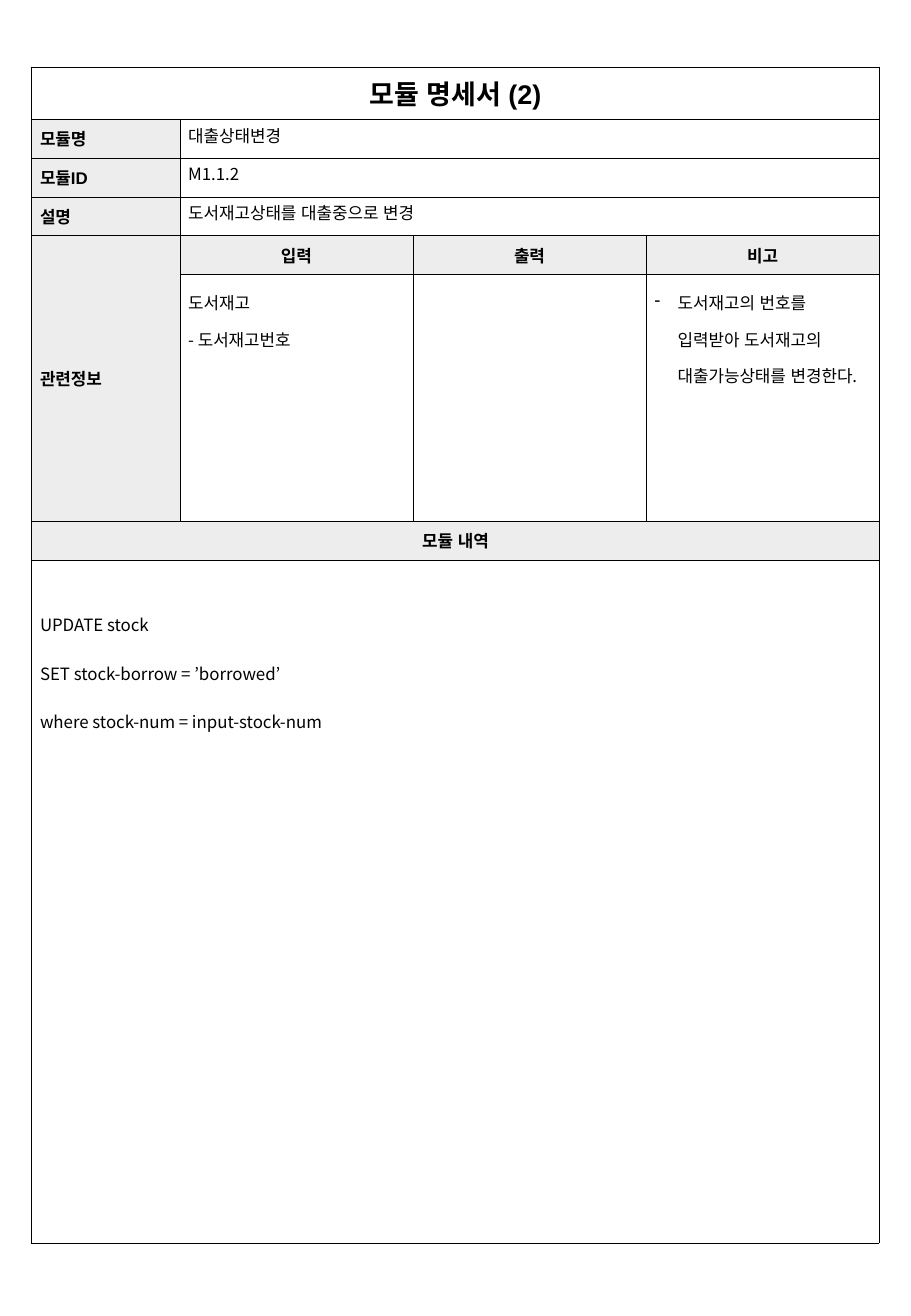
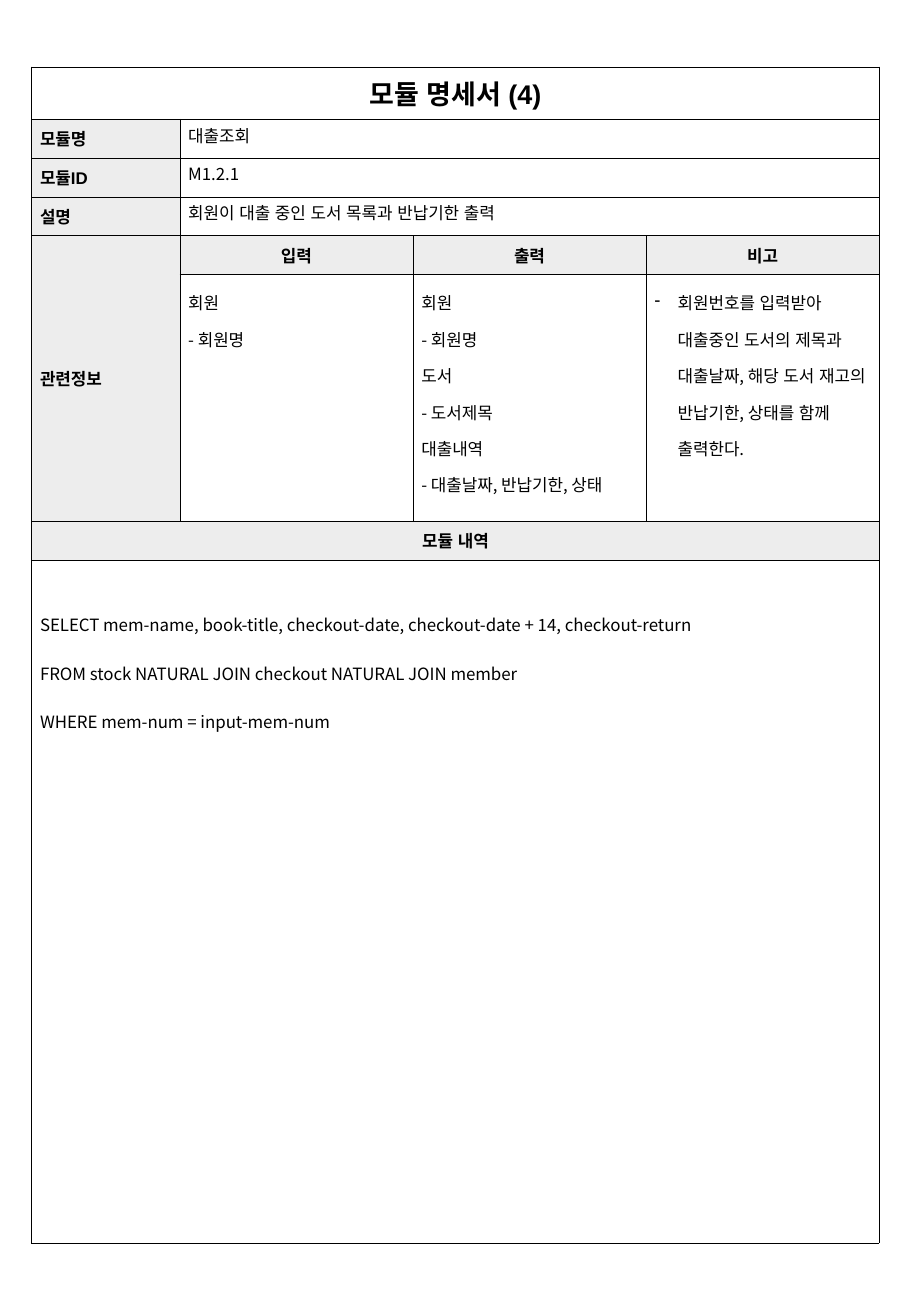
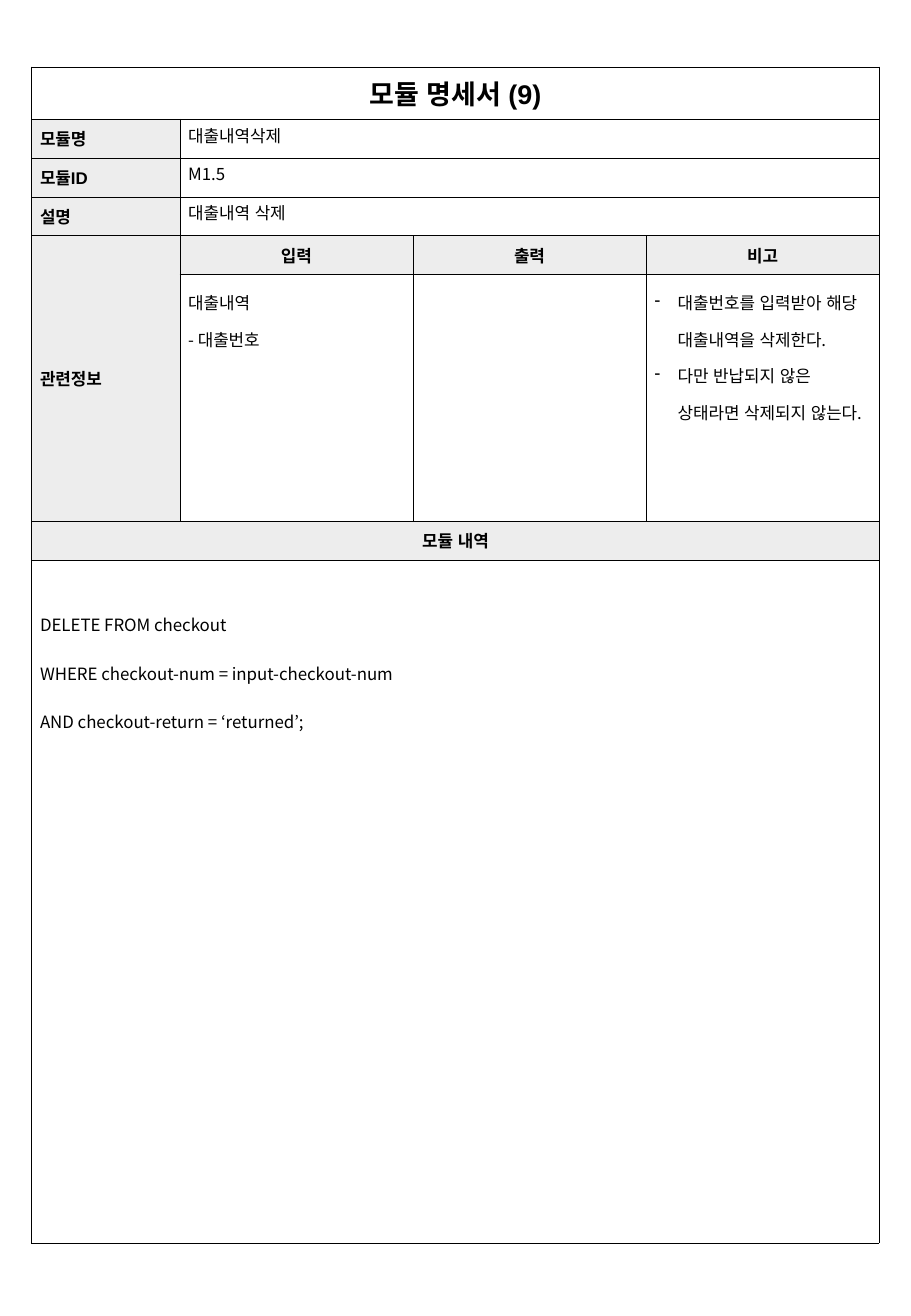
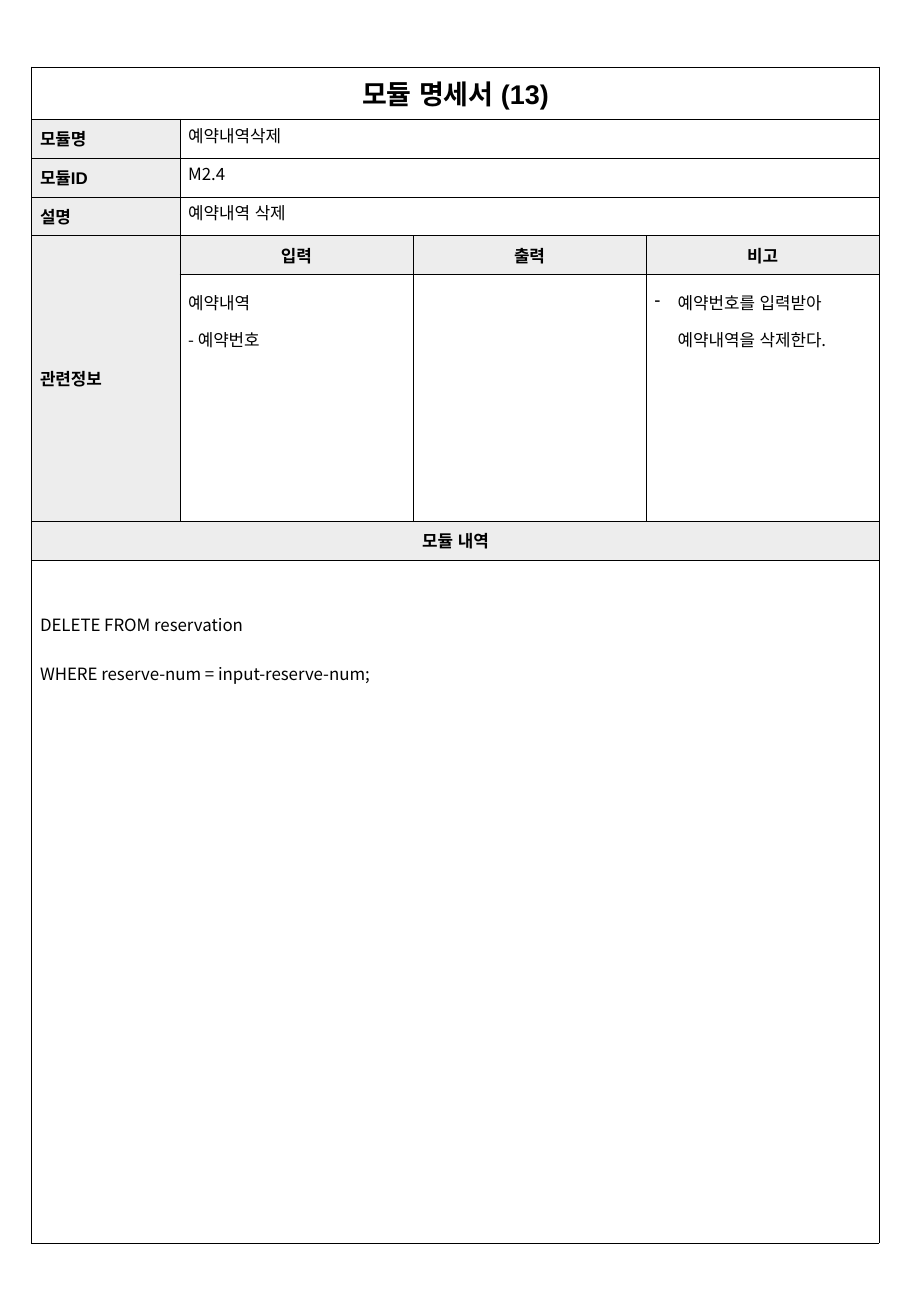
from dataclasses import dataclass

from lxml import etree
from pptx import Presentation
from pptx.dml.color import RGBColor
from pptx.enum.lang import MSO_LANGUAGE_ID
from pptx.enum.text import MSO_ANCHOR, PP_ALIGN
from pptx.oxml.ns import qn
from pptx.util import Inches, Pt

KOREAN = MSO_LANGUAGE_ID.KOREAN
TOP, MIDDLE = MSO_ANCHOR.TOP, MSO_ANCHOR.MIDDLE
LEFT, CENTER = PP_ALIGN.LEFT, PP_ALIGN.CENTER

# Shared style
BLACK = RGBColor(0x00, 0x00, 0x00)
WHITE = RGBColor(0xFF, 0xFF, 0xFF)
LABEL_GRAY = RGBColor(0xED, 0xED, 0xED)
HEADING_FONT = "Arial"
BODY_FONT = "Noto Sans CJK KR"
TITLE_SIZE, TEXT_SIZE = 16, 10
BORDER_WIDTH = Pt(0.25)
COLUMN_WIDTHS = [1.22] + [1.92] * 3
ROW_HEIGHTS = [0.43] + [0.32] * 4 + [2.03, 0.32, 5.62]
SIDE_MARGIN, EDGE_MARGIN, CODE_TOP_MARGIN = 0.07, 0.03, 0.23
BULLET_INDENT = 0.19

# Table rows
TITLE_ROW, FIRST_FIELD_ROW, RELATED_ROW, DETAIL_ROW, CODE_HEADING_ROW, CODE_ROW = (
    0, 1, 4, 5, 6, 7)
FIELD_LABELS = ["모듈명", "모듈ID", "설명"]
RELATED_HEADINGS = ["입력", "출력", "비고"]


@dataclass
class Module:
    number: int
    fields: list
    inputs: list
    outputs: list
    remarks: list
    code: list


MODULES = [
    Module(
        2, ["대출상태변경", "M1.1.2", "도서재고상태를 대출중으로 변경"],
        ["도서재고", "- 도서재고번호"], [],
        ["도서재고의 번호를 입력받아 도서재고의 대출가능상태를 변경한다."],
        ["UPDATE stock",
         "SET stock-borrow = ’borrowed’",
         "where stock-num = input-stock-num"]),
    Module(
        4, ["대출조회", "M1.2.1", "회원이 대출 중인 도서 목록과 반납기한 출력"],
        ["회원", "- 회원명"],
        ["회원", "- 회원명", "도서", "- 도서제목", "대출내역",
         "- 대출날짜, 반납기한, 상태"],
        ["회원번호를 입력받아 대출중인 도서의 제목과 대출날짜, 해당 도서 "
         "재고의 반납기한, 상태를 함께 출력한다."],
        ["SELECT mem-name, book-title, checkout-date, checkout-date + 14, "
         "checkout-return",
         "FROM stock NATURAL JOIN checkout NATURAL JOIN member",
         "WHERE mem-num = input-mem-num"]),
    Module(
        9, ["대출내역삭제", "M1.5", "대출내역 삭제"],
        ["대출내역", "- 대출번호"], [],
        ["대출번호를 입력받아 해당 대출내역을 삭제한다.",
         "다만 반납되지 않은 상태라면 삭제되지 않는다."],
        ["DELETE FROM checkout",
         "WHERE checkout-num = input-checkout-num",
         "AND checkout-return = ‘returned’;"]),
    Module(
        13, ["예약내역삭제", "M2.4", "예약내역 삭제"],
        ["예약내역", "- 예약번호"], [],
        ["예약번호를 입력받아 예약내역을 삭제한다."],
        ["DELETE FROM reservation",
         "WHERE reserve-num = input-reserve-num;"]),
]


def format_cell(cell):
    """Give a cell its margins, white fill and thin black borders."""
    cell.margin_left = cell.margin_right = Inches(SIDE_MARGIN)
    cell.margin_top = cell.margin_bottom = Inches(EDGE_MARGIN)
    cell.fill.solid()
    cell.fill.fore_color.rgb = WHITE
    properties = cell._tc.get_or_add_tcPr()
    for position, side in enumerate(("lnL", "lnR", "lnT", "lnB")):
        border = etree.Element(qn(f"a:{side}"), w=str(BORDER_WIDTH))
        fill = etree.SubElement(border, qn("a:solidFill"))
        etree.SubElement(fill, qn("a:srgbClr"), val=str(BLACK))
        properties.insert(position, border)


def add_bullet(paragraph):
    """Turn a paragraph into a dash item with a hanging indent."""
    properties = paragraph._p.get_or_add_pPr()
    properties.set("marL", str(Inches(BULLET_INDENT)))
    properties.set("indent", str(-Inches(BULLET_INDENT)))
    etree.SubElement(properties, qn("a:buChar"), char="-")


def format_run(run, font_name, size, bold):
    font = run.font
    font.name, font.size, font.bold = font_name, Pt(size), bold
    font.color.rgb = BLACK
    font.language_id = KOREAN
    latin = font._element.find(qn("a:latin"))
    latin.addnext(etree.Element(qn("a:ea"), typeface=BODY_FONT))


def write_cell(cell, lines, font_name=BODY_FONT, size=TEXT_SIZE, bold=False,
               align=LEFT, anchor=TOP, line_spacing=None, bulleted=False):
    cell.vertical_anchor = anchor
    cell.text_frame.text = "\n".join(lines)
    for paragraph in cell.text_frame.paragraphs:
        paragraph.alignment = align
        paragraph.line_spacing = line_spacing
        if bulleted:
            add_bullet(paragraph)
        for run in paragraph.runs:
            format_run(run, font_name, size, bold)


def write_heading(cell, text, size=TEXT_SIZE, align=LEFT, fill=LABEL_GRAY):
    cell.fill.fore_color.rgb = fill
    write_cell(cell, [text], HEADING_FONT, size, True, align, MIDDLE)


def add_grid(slide):
    """Add the empty bordered table with its merged cells."""
    table = slide.shapes.add_table(
        len(ROW_HEIGHTS), len(COLUMN_WIDTHS), Inches(0.26), Inches(0.55),
        Inches(sum(COLUMN_WIDTHS)), Inches(sum(ROW_HEIGHTS))).table
    table.first_row = table.horz_banding = False
    for column, width in zip(table.columns, COLUMN_WIDTHS):
        column.width = Inches(width)
    for row, height in zip(table.rows, ROW_HEIGHTS):
        row.height = Inches(height)
    for cell in table.iter_cells():
        format_cell(cell)

    last_column = len(COLUMN_WIDTHS) - 1
    for row in (TITLE_ROW, CODE_HEADING_ROW, CODE_ROW):
        table.cell(row, 0).merge(table.cell(row, last_column))
    for row in range(FIRST_FIELD_ROW, RELATED_ROW):
        table.cell(row, 1).merge(table.cell(row, last_column))
    table.cell(RELATED_ROW, 0).merge(table.cell(DETAIL_ROW, 0))
    return table


def add_module_slide(presentation, module):
    slide = presentation.slides.add_slide(presentation.slide_layouts[6])
    table = add_grid(slide)

    # Title and fields
    write_heading(table.cell(TITLE_ROW, 0), f"모듈 명세서 ({module.number})",
                  TITLE_SIZE, CENTER, WHITE)
    for row, (label, value) in enumerate(zip(FIELD_LABELS, module.fields),
                                         FIRST_FIELD_ROW):
        write_heading(table.cell(row, 0), label)
        write_cell(table.cell(row, 1), [value])

    # Related information
    write_heading(table.cell(RELATED_ROW, 0), "관련정보")
    details = (module.inputs, module.outputs, module.remarks)
    for column, (heading, lines) in enumerate(zip(RELATED_HEADINGS, details), 1):
        write_heading(table.cell(RELATED_ROW, column), heading, align=CENTER)
        write_cell(table.cell(DETAIL_ROW, column), lines, line_spacing=1.5,
                   bulleted=lines is module.remarks)

    # Module code
    write_heading(table.cell(CODE_HEADING_ROW, 0), "모듈 내역", align=CENTER)
    code_cell = table.cell(CODE_ROW, 0)
    write_cell(code_cell, module.code, line_spacing=2.0)
    code_cell.margin_top = Inches(CODE_TOP_MARGIN)


def main():
    presentation = Presentation()
    presentation.slide_width = Inches(7.5)
    presentation.slide_height = Inches(10.83)
    for module in MODULES:
        add_module_slide(presentation, module)
    presentation.save("out.pptx")


if __name__ == "__main__":
    main()
